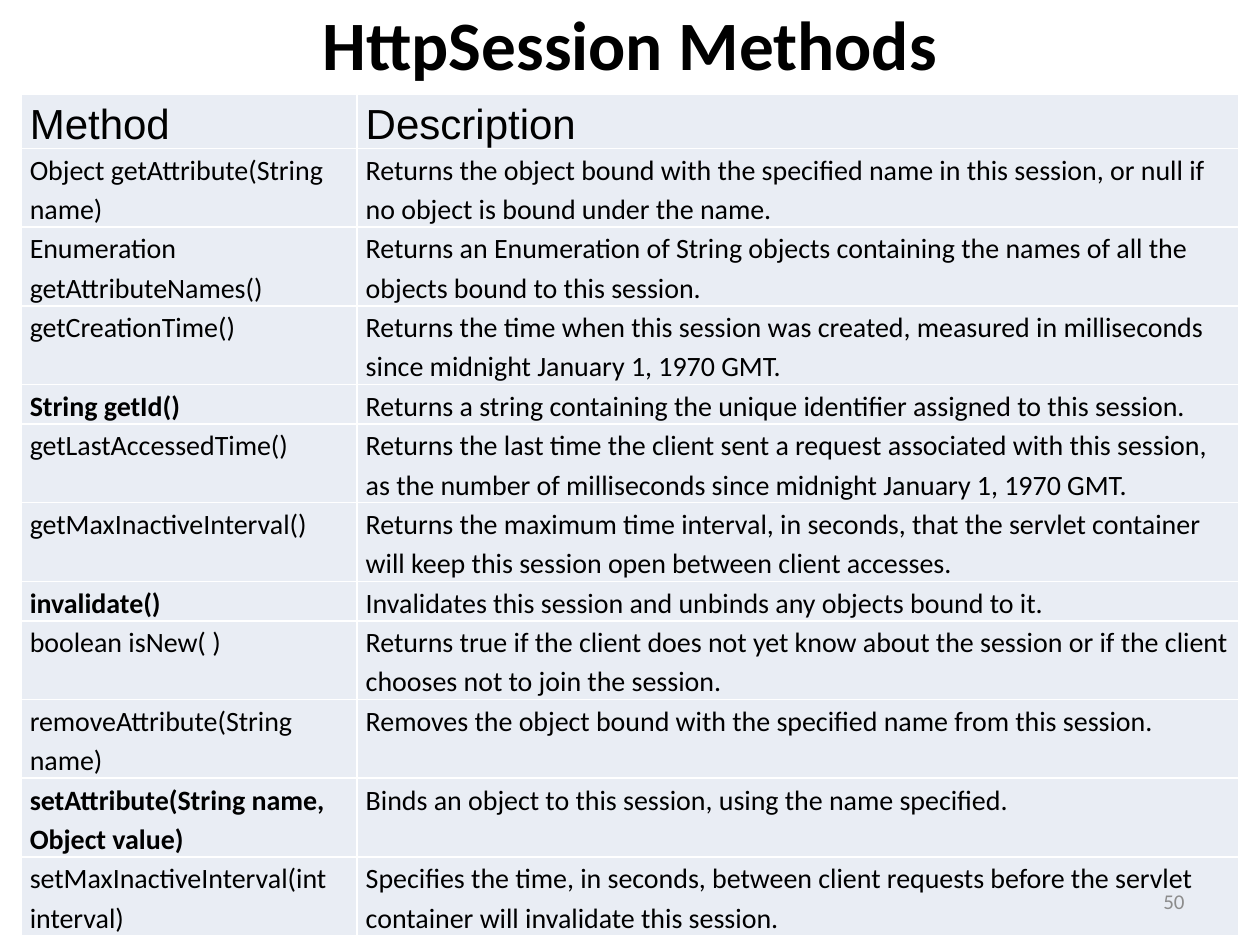
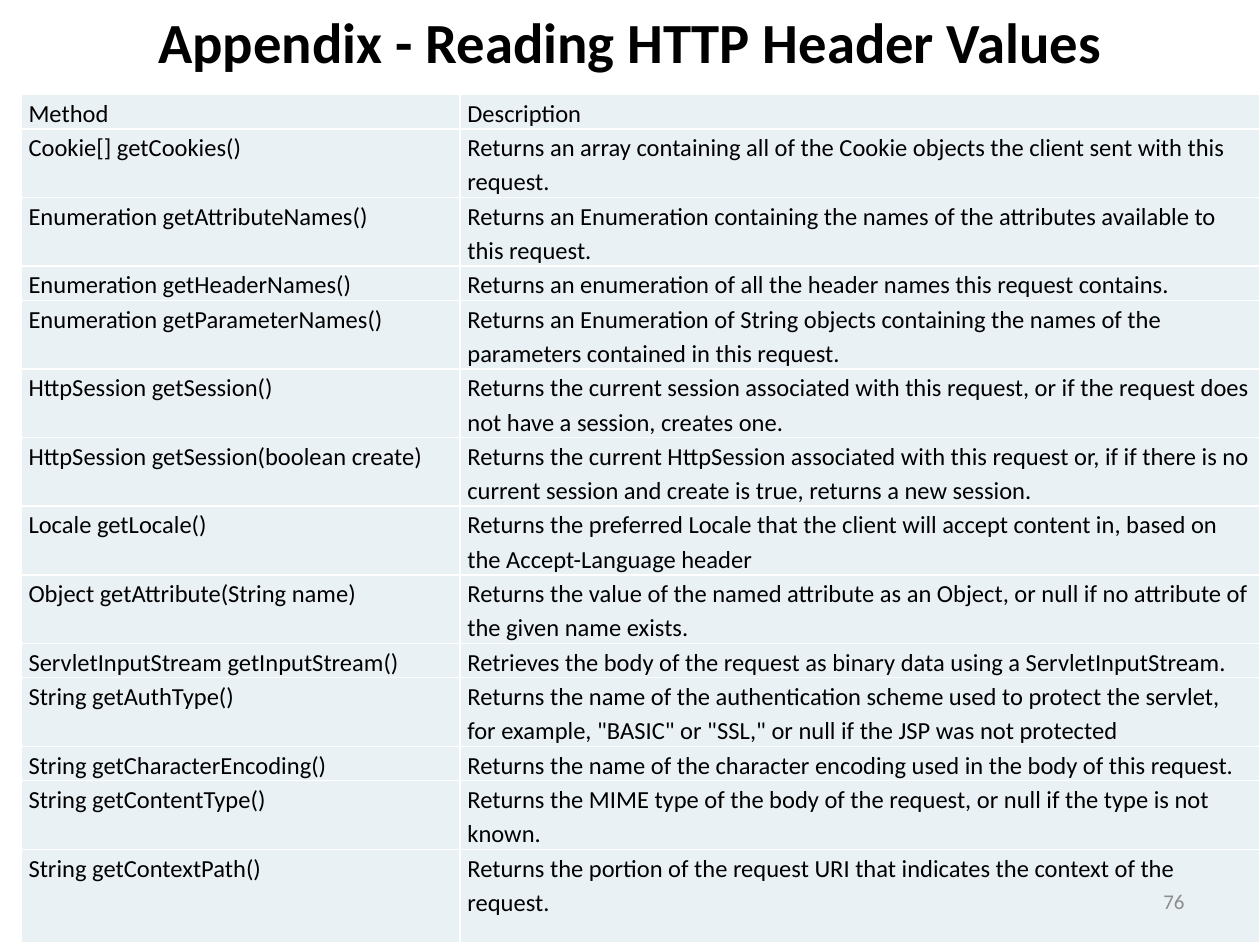
from dataclasses import dataclass

from lxml import etree
from pptx import Presentation
from pptx.dml.color import RGBColor
from pptx.enum.text import MSO_ANCHOR, MSO_AUTO_SIZE, PP_ALIGN
from pptx.oxml.ns import qn
from pptx.util import Inches, Pt

MIDDLE = MSO_ANCHOR.MIDDLE
NO_FIT = MSO_AUTO_SIZE.NONE
LEFT, CENTER, RIGHT = PP_ALIGN.LEFT, PP_ALIGN.CENTER, PP_ALIGN.RIGHT


@dataclass(frozen=True)
class Theme:
    ink: str = "000000"
    muted: str = "8C8C8C"
    rule: str = "FFFFFF"
    session_fill: str = "E9EDF4"
    header_fill: str = "E9F1F5"
    body_font: str = "Calibri"
    heading_font: str = "Arial"
    session_title: float = 39.6
    header_title: float = 32.4
    heading: int = 24
    session_text: int = 16
    header_text: int = 14
    number: int = 12
    leading: float = 1.15


theme = Theme()

prs = Presentation()
prs.slide_width, prs.slide_height = Inches(10), Inches(7.5)
title_only = prs.slide_layouts[5]

# Grid: 60 columns by 60 rows over the whole slide
GRID = 60
COL, ROW = prs.slide_width / GRID, prs.slide_height / GRID


def place(left, top, width, height):
    return int(left * COL), int(top * ROW), int(width * COL), int(height * ROW)


def write(frame, text, size, color=theme.ink, font=theme.body_font,
          bold=False, align=LEFT, spacing=1.0):
    paragraph = frame.paragraphs[0]
    paragraph.alignment, paragraph.line_spacing = align, spacing
    run = paragraph.add_run()
    run.text = text
    font_format = {"size": Pt(size), "name": font, "bold": bold}
    for attribute, value in font_format.items():
        setattr(run.font, attribute, value)
    run.font.color.rgb = RGBColor.from_string(color)


# Content: method, description, lines of text in the row
session_methods = [
    ("Object getAttribute(String name)",
     "Returns the object bound with the specified name in this session, "
     "or null if no object is bound under the name.", 2),
    ("Enumeration getAttributeNames()",
     "Returns an Enumeration of String objects containing the names of all "
     "the objects bound to this session.", 2),
    ("getCreationTime()",
     "Returns the time when this session was created, measured in "
     "milliseconds since midnight January 1, 1970 GMT.", 2),
    ("String getId()",
     "Returns a string containing the unique identifier assigned to this "
     "session.", 1),
    ("getLastAccessedTime()",
     "Returns the last time the client sent a request associated with this "
     "session, as the number of milliseconds since midnight January 1, 1970 "
     "GMT.", 2),
    ("getMaxInactiveInterval()",
     "Returns the maximum time interval, in seconds, that the servlet "
     "container will keep this session open between client accesses.", 2),
    ("invalidate()",
     "Invalidates this session and unbinds any objects bound to it.", 1),
    ("boolean isNew( )",
     "Returns true if the client does not yet know about the session or if "
     "the client chooses not to join the session.", 2),
    ("removeAttribute(String name)",
     "Removes the object bound with the specified name from this session.", 2),
    ("setAttribute(String name, Object value)",
     "Binds an object to this session, using the name specified.", 2),
    ("setMaxInactiveInterval(int interval)",
     "Specifies the time, in seconds, between client requests before the "
     "servlet container will invalidate this session.", 2),
]
key_methods = {"String getId()", "invalidate()",
               "setAttribute(String name, Object value)"}

request_methods = [
    ("Cookie[] getCookies()",
     "Returns an array containing all of the Cookie objects the client sent "
     "with this request.", 2),
    ("Enumeration getAttributeNames()",
     "Returns an Enumeration containing the names of the attributes "
     "available to this request.", 2),
    ("Enumeration getHeaderNames()",
     "Returns an enumeration of all the header names this request "
     "contains.", 1),
    ("Enumeration getParameterNames()",
     "Returns an Enumeration of String objects containing the names of the "
     "parameters contained in this request.", 2),
    ("HttpSession getSession()",
     "Returns the current session associated with this request, or if the "
     "request does not have a session, creates one.", 2),
    ("HttpSession getSession(boolean create)",
     "Returns the current HttpSession associated with this request or, if "
     "if there is no current session and create is true, returns a new "
     "session.", 2),
    ("Locale getLocale()",
     "Returns the preferred Locale that the client will accept content in, "
     "based on the Accept-Language header", 2),
    ("Object getAttribute(String name)",
     "Returns the value of the named attribute as an Object, or null if no "
     "attribute of the given name exists.", 2),
    ("ServletInputStream getInputStream()",
     "Retrieves the body of the request as binary data using a "
     "ServletInputStream.", 1),
    ("String getAuthType()",
     "Returns the name of the authentication scheme used to protect the "
     "servlet, for example, \"BASIC\" or \"SSL,\" or null if the JSP was not "
     "protected", 2),
    ("String getCharacterEncoding()",
     "Returns the name of the character encoding used in the body of this "
     "request.", 1),
    ("String getContentType()",
     "Returns the MIME type of the body of the request, or null if the type "
     "is not known.", 2),
    ("String getContextPath()",
     "Returns the portion of the request URI that indicates the context of "
     "the request.", 2.75),
]

# Per-slide settings; lengths are in grid columns and rows
pages = [
    dict(title="HttpSession Methods", title_size=theme.session_title,
         title_box=(3, 0, 54, 5.4), methods=session_methods, number="50",
         columns=(16, 42), heading_row=3.3, line_row=2.5, inset=0.07,
         fill=theme.session_fill, text_size=theme.session_text,
         heading_size=theme.heading, heading_font=theme.heading_font),
    dict(title="Appendix - Reading HTTP Header Values",
         title_size=theme.header_title, title_box=(3, -0.2, 54, 5.6),
         methods=request_methods, number="76",
         columns=(20.9, 38.1), heading_row=2.17, line_row=2.17, inset=0.06,
         fill=theme.header_fill, text_size=theme.header_text,
         heading_size=theme.header_text, heading_font=theme.body_font),
]

for page in pages:
    slide = prs.slides.add_slide(title_only)

    # Title
    title = slide.shapes.title
    title.left, title.top, title.width, title.height = place(*page["title_box"])
    title.text_frame.auto_size = NO_FIT
    title.text_frame.vertical_anchor = MIDDLE
    write(title.text_frame, page["title"], page["title_size"], bold=True,
          align=CENTER)

    # Method table
    rows = [("Method", "Description", 1)] + page["methods"]
    heights = [page["heading_row"]]
    heights += [lines * page["line_row"] for *_, lines in page["methods"]]
    table_box = place(1, 6, sum(page["columns"]), sum(heights))
    table = slide.shapes.add_table(len(rows), 2, *table_box).table
    table.first_row = table.horz_banding = False
    for column, width in zip(table.columns, page["columns"]):
        column.width = int(width * COL)

    for r, (method, description, _) in enumerate(rows):
        table.rows[r].height = int(heights[r] * ROW)
        size = page["text_size"] if r else page["heading_size"]
        font = theme.body_font if r else page["heading_font"]
        for c, text in enumerate((method, description)):
            cell = table.cell(r, c)
            margins = {"margin_left": Inches(page["inset"]), "margin_top": 0,
                       "margin_right": Inches(page["inset"]),
                       "margin_bottom": 0}
            for attribute, value in margins.items():
                setattr(cell, attribute, value)
            write(cell.text_frame, text, size, font=font,
                  bold=text in key_methods, spacing=theme.leading)

            # White rules on every side, placed ahead of the cell fill
            properties = cell._tc.get_or_add_tcPr()
            for side in ("a:lnL", "a:lnR", "a:lnT", "a:lnB"):
                line = etree.SubElement(properties, qn(side), w=str(Pt(1)))
                solid = etree.SubElement(line, qn("a:solidFill"))
                etree.SubElement(solid, qn("a:srgbClr"), val=theme.rule)
            cell.fill.solid()
            cell.fill.fore_color.rgb = RGBColor.from_string(page["fill"])

    # Slide number
    number = slide.shapes.add_textbox(*place(43, 55.6, 14, 3.2)).text_frame
    number.word_wrap, number.vertical_anchor = True, MIDDLE
    write(number, page["number"], theme.number, color=theme.muted, align=RIGHT)

prs.save("out.pptx")
